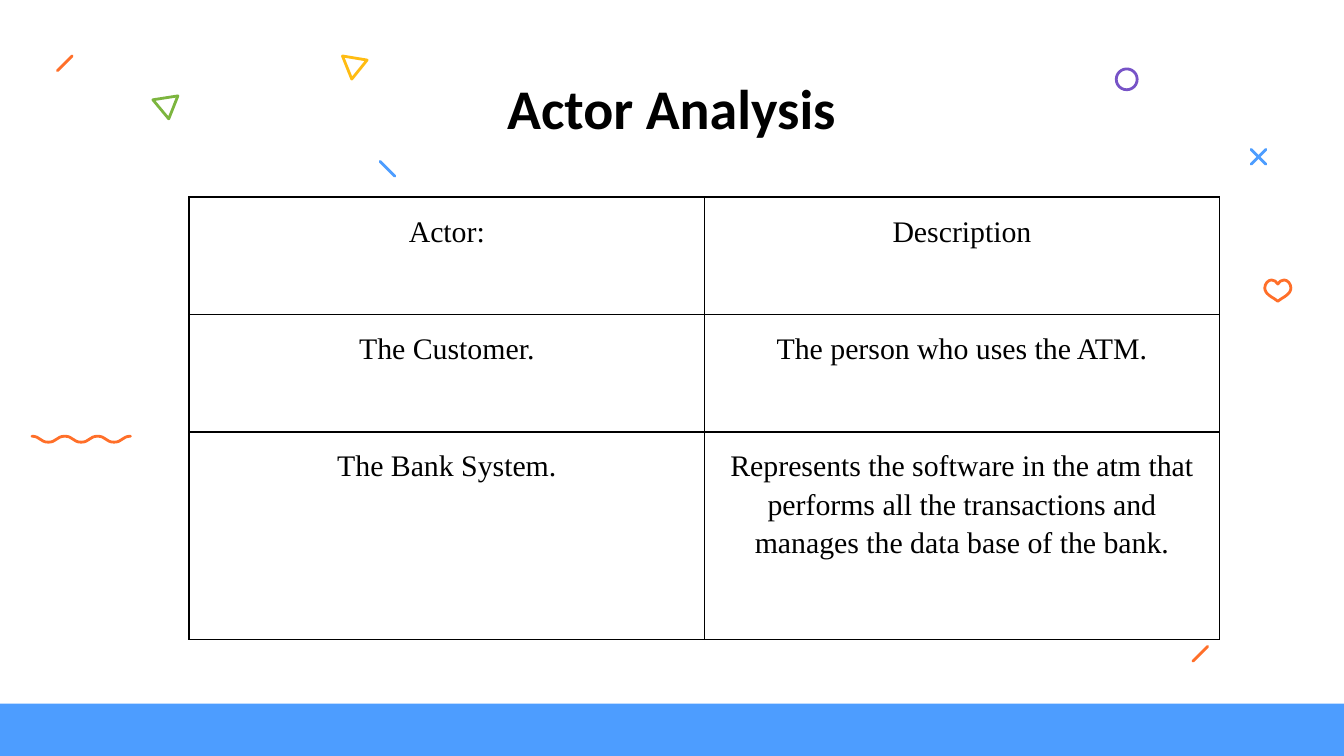
from lxml import etree

from pptx import Presentation
from pptx.dml.color import RGBColor
from pptx.enum.shapes import MSO_CONNECTOR, MSO_SHAPE
from pptx.enum.text import MSO_ANCHOR, MSO_AUTO_SIZE, PP_ALIGN
from pptx.oxml.ns import qn
from pptx.util import Pt

STRAIGHT = MSO_CONNECTOR.STRAIGHT
RECTANGLE, OVAL = MSO_SHAPE.RECTANGLE, MSO_SHAPE.OVAL
MIDDLE, CENTER = MSO_ANCHOR.MIDDLE, PP_ALIGN.CENTER
NO_AUTOFIT = MSO_AUTO_SIZE.NONE

BLACK = RGBColor(0x00, 0x00, 0x00)
BLUE = RGBColor(0x4D, 0x9D, 0xFF)
ORANGE = RGBColor(0xFF, 0x6F, 0x29)
YELLOW = RGBColor(0xFF, 0xBC, 0x12)
GREEN = RGBColor(0x7C, 0xB5, 0x3E)
PURPLE = RGBColor(0x77, 0x53, 0xC7)

SLIDE_WIDTH, SLIDE_HEIGHT = 720, 405
BAR_TOP = 377
STROKE_WIDTH = 1.5
DASH_SIZE = 7.9

TITLE_FORMAT = {"name": "Calibri", "size": Pt(30), "bold": True}
CELL_FORMAT = {"name": "Times New Roman", "size": Pt(16), "bold": False}
ROW_HEIGHTS = [62.9, 62.9, 111.2]
COLUMN_WIDTH = 276
ACTORS = [
    ("Actor:", "Description"),
    ("The Customer.", "The person who uses the ATM."),
    ("The Bank System.",
     "Represents the software in the atm that performs all the transactions "
     "and manages the data base of the bank."),
]


def set_attributes(target, values):
    for name, value in values.items():
        setattr(target, name, value)


def style_text(paragraph, font_format):
    paragraph.alignment = CENTER
    set_attributes(paragraph.font, font_format)
    paragraph.font.color.rgb = BLACK


def style_outline(shape, color):
    """Give a decoration a thin stroke with round ends and corners."""
    shape.line.color.rgb = color
    shape.line.width = Pt(STROKE_WIDTH)
    outline = shape.line._get_or_add_ln()
    outline.set("cap", "rnd")
    etree.SubElement(outline, qn("a:round"))


def add_dash(slide, left, top, color, rising):
    start_y, end_y = (top + DASH_SIZE, top) if rising else (top, top + DASH_SIZE)
    dash = slide.shapes.add_connector(
        STRAIGHT, Pt(left), Pt(start_y), Pt(left + DASH_SIZE), Pt(end_y))
    style_outline(dash, color)
    etree.SubElement(dash._element.spPr, qn("a:effectLst"))


def add_outline(slide, points, color, close=True):
    corners = [(Pt(x), Pt(y)) for x, y in points]
    builder = slide.shapes.build_freeform(*corners[0], scale=1.0)
    builder.add_line_segments(corners[1:], close=close)
    shape = builder.convert_to_shape()
    shape.shadow.inherit = False
    shape.fill.background()
    style_outline(shape, color)
    return shape


def bend_segments(shape, first, count):
    """Turn each three line segments from the first on into one curve."""
    segments = list(shape._element.iter(qn("a:lnTo")))[first:first + 3 * count]
    for start in range(0, len(segments), 3):
        curve = etree.Element(qn("a:cubicBezTo"))
        segments[start].addprevious(curve)
        for segment in segments[start:start + 3]:
            curve.append(segment[0])
            segment.getparent().remove(segment)


def add_wave(slide, left, top, half_wave, height, count, color):
    points = [(left, top)]
    for i in range(count):
        start_y, end_y = (top, top + height) if i % 2 == 0 else (top + height, top)
        start_x = left + i * half_wave
        points += [(start_x + half_wave / 2, start_y),
                   (start_x + half_wave / 2, end_y),
                   (start_x + half_wave, end_y)]
    wave = add_outline(slide, points, color, close=False)
    bend_segments(wave, 0, count)


def add_heart(slide, center, top, color):
    # Left half from the tip to the notch, then its mirror image
    half = [(0, 11.4), (-2, 10),
            (-7, 7.2), (-7, 5.2), (-7, 4.2),
            (-7, 2.1), (-5.2, 0), (-3.4, 0),
            (-2, 0), (-0.7, 0.9), (0, 2.2)]
    mirror = [(-x, y) for x, y in reversed(half[1:-1])]
    heart = add_outline(
        slide, [(center + x, top + y) for x, y in half + mirror], color)
    bend_segments(heart, 1, 6)


def add_decorations(slide):
    for left, top, color, rising in (
            (30.8, 30, ORANGE, True), (203.6, 86.5, BLUE, False),
            (639.1, 346.3, ORANGE, True),
            (670.3, 80.1, BLUE, True), (670.3, 80.1, BLUE, False)):
        add_dash(slide, left, top, color, rising)
    add_outline(slide, [(183.5, 30), (188.5, 42.4), (196.7, 32.2)], YELLOW)
    add_outline(slide, [(95.3, 51.4), (81.9, 53.5), (90.4, 63.7)], GREEN)
    add_wave(slide, 17.1, 233.7, 8.8, 3.2, 6, ORANGE)
    add_heart(slide, 684.6, 150, ORANGE)

    ring = slide.shapes.add_shape(OVAL, Pt(598), Pt(36.9), Pt(11.2), Pt(11.2))
    ring.shadow.inherit = False
    ring.fill.background()
    style_outline(ring, PURPLE)


def add_bottom_bar(slide):
    bar = slide.shapes.add_shape(RECTANGLE, 0, Pt(BAR_TOP), Pt(SLIDE_WIDTH),
                                 Pt(SLIDE_HEIGHT - BAR_TOP))
    bar.shadow.inherit = False
    bar.fill.solid()
    bar.fill.fore_color.rgb = BLUE
    bar.line.fill.background()


def fill_title(slide, text):
    title = slide.shapes.title
    set_attributes(title, {"left": Pt(56.3), "top": Pt(34.9),
                           "width": Pt(607), "height": Pt(45.4)})
    frame = title.text_frame
    set_attributes(frame, {"auto_size": NO_AUTOFIT, "word_wrap": True,
                           "vertical_anchor": MIDDLE,
                           "margin_left": Pt(7.2), "margin_right": Pt(7.2),
                           "margin_top": Pt(7.2), "margin_bottom": Pt(7.2)})
    frame.text = text
    style_text(frame.paragraphs[0], TITLE_FORMAT)


def add_cell_borders(cell):
    properties = cell._tc.get_or_add_tcPr()
    for index, side in enumerate(("a:lnL", "a:lnR", "a:lnT", "a:lnB")):
        border = etree.Element(qn(side), w=str(Pt(1)))
        fill = etree.SubElement(border, qn("a:solidFill"))
        etree.SubElement(fill, qn("a:srgbClr"), val=str(BLACK))
        properties.insert(index, border)


def add_actor_table(slide):
    table = slide.shapes.add_table(
        len(ACTORS), 2, Pt(101.4), Pt(105.6),
        Pt(2 * COLUMN_WIDTH), Pt(sum(ROW_HEIGHTS))).table
    set_attributes(table, {"first_row": False, "horz_banding": False})
    for column in table.columns:
        column.width = Pt(COLUMN_WIDTH)
    for row, height, texts in zip(table.rows, ROW_HEIGHTS, ACTORS):
        row.height = Pt(height)
        for cell, text in zip(row.cells, texts):
            cell.text = text
            set_attributes(cell, {"margin_left": Pt(5.4), "margin_right": Pt(5.4),
                                  "margin_top": Pt(7.2), "margin_bottom": Pt(7.2)})
            cell.fill.background()
            add_cell_borders(cell)
            paragraph = cell.text_frame.paragraphs[0]
            paragraph.line_spacing = 1.15
            style_text(paragraph, CELL_FORMAT)


def main():
    presentation = Presentation()
    presentation.slide_width = Pt(SLIDE_WIDTH)
    presentation.slide_height = Pt(SLIDE_HEIGHT)
    slide = presentation.slides.add_slide(presentation.slide_layouts[5])

    # Background parts
    add_bottom_bar(slide)
    add_decorations(slide)

    # Content
    fill_title(slide, "Actor Analysis")
    add_actor_table(slide)

    presentation.save("out.pptx")


if __name__ == "__main__":
    main()
